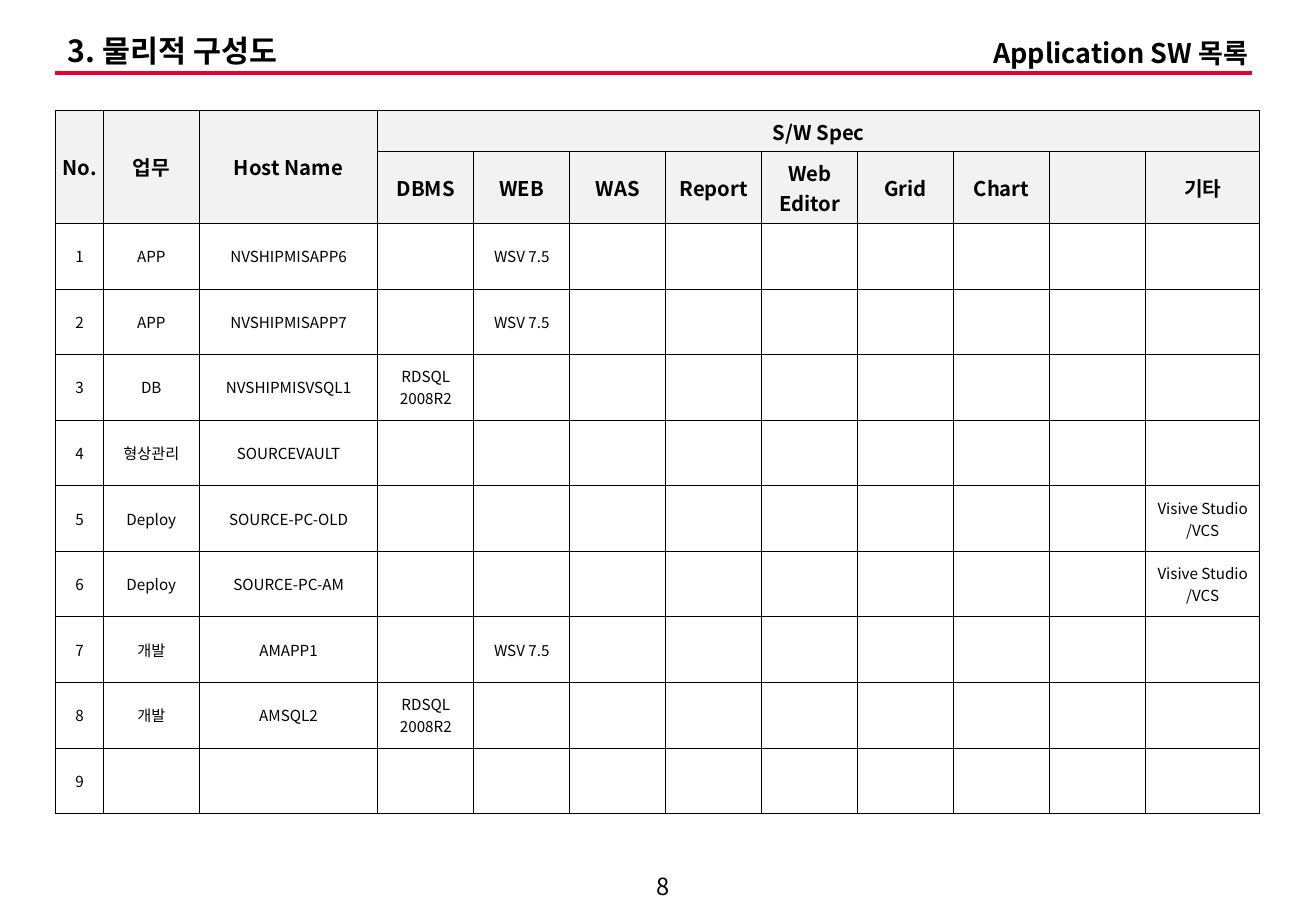
import pptx
import pptx.dml.color
import pptx.enum.shapes
import pptx.enum.text
import pptx.oxml
import pptx.oxml.ns
import pptx.util
from lxml import etree

RGB = pptx.dml.color.RGBColor
BLACK = RGB(0x00, 0x00, 0x00)
WHITE = RGB(0xFF, 0xFF, 0xFF)
GRAY = RGB(0xF2, 0xF2, 0xF2)
RED = RGB(0xEA, 0x00, 0x2C)
ALIGN = pptx.enum.text.PP_ALIGN
MIDDLE = pptx.enum.text.MSO_ANCHOR.MIDDLE
qn = pptx.oxml.ns.qn
SCALE = 9144  # EMU per px, 100 px to the inch


def emu(px):
    return pptx.util.Emu(px * SCALE)


class Deck:
    font = "Noto Sans CJK KR"

    def __init__(self, wide, high):
        self.prs = pptx.Presentation()
        self.prs.slide_width, self.prs.slide_height = emu(wide), emu(high)
        self.slide = self.prs.slides.add_slide(self.prs.slide_layouts[6])

    def style(self, frame, size, bold, align):
        for para in frame.paragraphs:
            para.alignment = align
            for run in para.runs:
                run.font.name = self.font
                run.font.size = pptx.util.Pt(size)
                run.font.bold = bold
                run.font.color.rgb = BLACK
                east = etree.SubElement(run.font._element, qn("a:ea"))
                east.set("typeface", self.font)
            if not para.runs:
                # Keep blank cells from stretching their row
                end = etree.SubElement(para._p, qn("a:endParaRPr"))
                end.set("sz", str(size * 100))

    def text(self, text, box, size, bold=False, align=ALIGN.LEFT, lead=None):
        frame = self.slide.shapes.add_textbox(*map(emu, box)).text_frame
        frame.word_wrap = True
        frame.vertical_anchor = MIDDLE
        frame.text = text
        frame.paragraphs[0].line_spacing = lead
        self.style(frame, size, bold, align)

    def line(self, x1, y1, x2, y2, color, width):
        kind = pptx.enum.shapes.MSO_CONNECTOR.STRAIGHT
        line = self.slide.shapes.add_connector(kind, *map(emu, (x1, y1, x2, y2)))
        line.line.color.rgb = color
        line.line.width = pptx.util.Pt(width)
        etree.SubElement(line._element.spPr, qn("a:effectLst"))

    def border(self, cell):
        props = cell._tc.get_or_add_tcPr()
        for side in "LRTB":
            edge = etree.SubElement(props, qn("a:ln" + side), w="6350")
            fill = etree.SubElement(edge, qn("a:solidFill"))
            etree.SubElement(fill, qn("a:srgbClr"), val=str(BLACK))

    def cell(self, cell, text, size, bold, fill):
        self.border(cell)
        cell.margin_left = cell.margin_right = 0
        cell.margin_top = cell.margin_bottom = emu(5)
        cell.vertical_anchor = MIDDLE
        cell.text_frame.text = text
        self.style(cell.text_frame, size, bold, ALIGN.CENTER)
        if fill is None:
            cell.fill.background()
        else:
            cell.fill.solid()
            cell.fill.fore_color.rgb = fill

    def table(self, left, top, cols, rows, data, spans, heads, keys):
        box = map(emu, (left, top, sum(cols), sum(rows)))
        table = self.slide.shapes.add_table(len(rows), len(cols), *box).table
        table.first_row = table.horz_banding = False
        for col, wide in zip(table.columns, cols):
            col.width = emu(wide)
        for row, high in zip(table.rows, rows):
            row.height = emu(high)
        for r in range(len(rows)):
            for c in range(len(cols)):
                head = r < heads
                fill = GRAY if head else WHITE if c < keys else None
                text = data[r].get(c, "")
                self.cell(table.cell(r, c), text, 12 if head else 9, head, fill)
        for first, last in spans:
            table.cell(*first).merge(table.cell(*last))


def main():
    deck = Deck(1083, 750)

    # Page number and title rule
    deck.text("8", (510, 714, 71, 31), 14, align=ALIGN.CENTER)
    deck.line(45, 60, 1030, 60, RED, 2.25)

    # Software list: task, host, then software by column
    web = {4: "WSV 7.5"}
    base = {3: "RDSQL\n2008R2"}
    tool = {11: "Visive Studio\n/VCS"}
    hosts = [
        ("APP", "NVSHIPMISAPP6", web),
        ("APP", "NVSHIPMISAPP7", web),
        ("DB", "NVSHIPMISVSQL1", base),
        ("형상관리", "SOURCEVAULT", {}),
        ("Deploy", "SOURCE-PC-OLD", tool),
        ("Deploy", "SOURCE-PC-AM", tool),
        ("개발", "AMAPP1", web),
        ("개발", "AMSQL2", base),
        ("", "", {}),
    ]
    kinds = ["DBMS", "WEB", "WAS", "Report", "Web Editor", "Grid", "Chart", "", "기타"]
    data = [
        dict(enumerate(["No.", "업무", "Host Name", "S/W Spec"])),
        dict(enumerate(kinds, 3)),
    ]
    for num, (task, host, soft) in enumerate(hosts, 1):
        data.append({0: str(num), 1: task, 2: host, **soft})
    cols = [39, 79, 147] + [79] * 8 + [94]
    rows = [34, 59] + [54] * len(hosts)
    spans = [((0, c), (1, c)) for c in range(3)] + [((0, 3), (0, 11))]
    deck.table(46, 91, cols, rows, data, spans, heads=2, keys=2)

    # Titles
    deck.text("3. 물리적 구성도", (46, 25, 953, 37), 18, True, lead=0.9)
    deck.text("Application SW 목록", (763, 25, 274, 37), 16, True, ALIGN.RIGHT)

    deck.prs.save("out.pptx")


if __name__ == "__main__":
    main()
